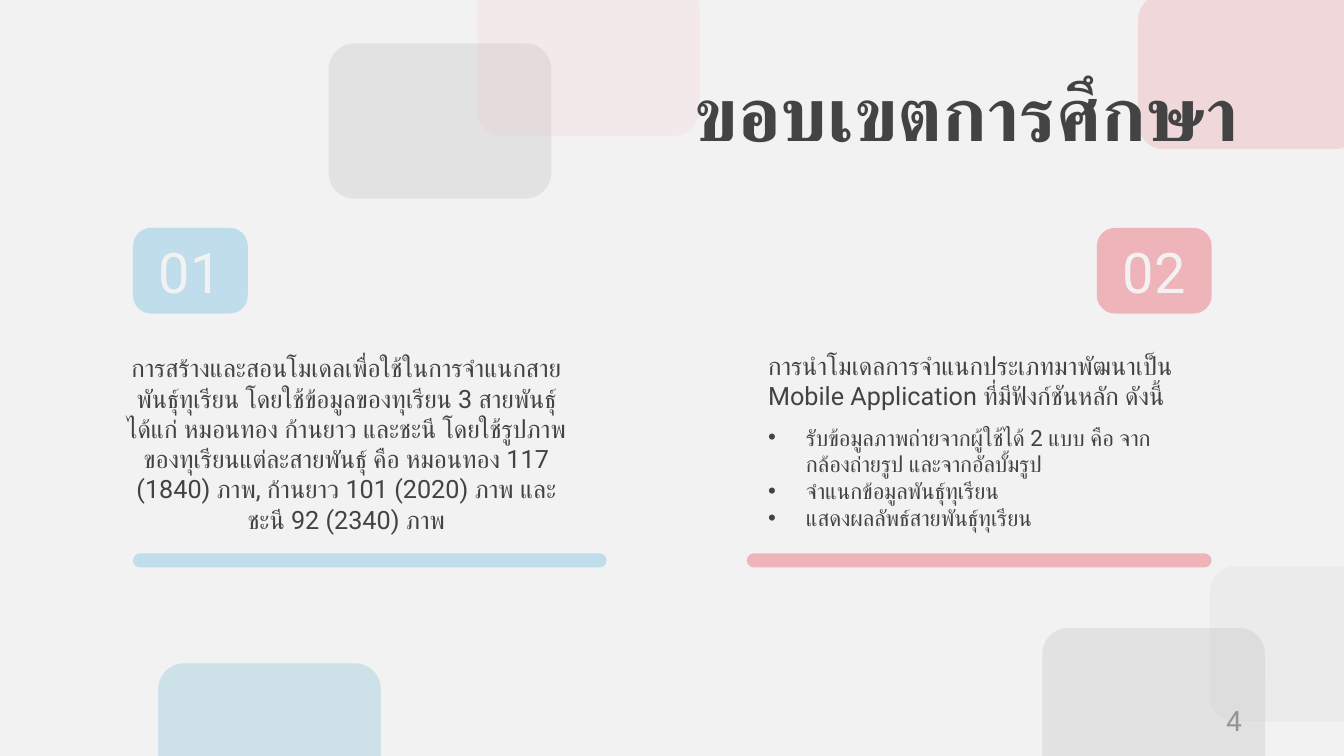
from pptx import Presentation
from pptx.dml.color import RGBColor
from pptx.enum.shapes import MSO_SHAPE
from pptx.enum.text import MSO_ANCHOR, MSO_AUTO_SIZE, PP_ALIGN
from pptx.oxml.ns import qn
from pptx.util import Pt
from lxml.etree import SubElement

# Content
TITLE = "ขอบเขตการศึกษา"
PAGE_NUMBER = "4"
MODEL_SCOPE = (
    "การสร้างและสอนโมเดลเพื่อใช้ในการจําแนกสายพันธุ์ทุเรียน "
    "โดยใช้ข้อมูลของทุเรียน 3 สายพันธุ์ ได้แก่ หมอนทอง ก้านยาว และชะนี "
    "โดยใช้รูปภาพของทุเรียนแต่ละสายพันธุ์ คือ หมอนทอง 117 (1840) ภาพ, "
    "ก้านยาว 101 (2020) ภาพ และ ชะนี 92 (2340) ภาพ"
)
APP_SCOPE = (
    "การนำโมเดลการจำแนกประเภทมาพัฒนาเป็น Mobile Application "
    "ที่มีฟังก์ชันหลัก ดังนี้"
)
APP_FEATURES = [
    "รับข้อมูลภาพถ่ายจากผู้ใช้ได้ 2 แบบ คือ จากกล้องถ่ายรูป และจากอัลบั้มรูป",
    "จำแนกข้อมูลพันธุ์ทุเรียน",
    "แสดงผลลัพธ์สายพันธุ์ทุเรียน",
]

THEME = {
    "font": "Roboto",
    "background": "F2F2F2", "text": "434343", "page": "949494",
    "blue": "AED7E8", "pink": "EE8C94",
    "title_size": 54, "number_size": 40, "body_size": 18,
    "feature_size": 16, "page_size": 20,
}

# Layout in points
SLIDE_WIDTH, SLIDE_HEIGHT = 960, 540
LEFT_EDGE, RIGHT_EDGE = 95, 865.5
BADGE_TOP, BADGE_WIDTH, BADGE_HEIGHT = 162.7, 82, 61.3
BAR_TOP, BAR_HEIGHT = 395.3, 10
TILE_WIDTH, TILE_HEIGHT, TILE_OPACITY = 159.1, 110.9, 25
INSET = 9.4
FEATURE_INDENT = 27

# Background tiles: left, top, colour
TILES = [
    (812.9, -4.3, THEME["pink"]),
    (113, 473.8, "5FB0D2"),
    (864, 404.6, "DADADA"),
    (744.5, 448.6, "B5B5B5"),
    (340.6, -13.7, "F8D1D4"),
    (234.7, 31, "B4B4B4"),
]
# Columns: number, colour, opacity, bar width, badge left
COLUMNS = [
    ("01", THEME["blue"], 74, 338.4, LEFT_EDGE),
    ("02", THEME["pink"], 60, 332, RIGHT_EDGE - BADGE_WIDTH),
]


def apply(target, values):
    for name, value in values.items():
        setattr(target, name, value)


def add_rounded(slide, box, color, opacity, rounding):
    shape = slide.shapes.add_shape(MSO_SHAPE.ROUNDED_RECTANGLE, *map(Pt, box))
    shape.adjustments[0] = rounding
    shape.shadow.inherit = False
    shape.line.fill.background()
    shape.fill.solid()
    shape.fill.fore_color.rgb = RGBColor.from_string(color)
    fill_color = shape.element.spPr.find(qn("a:solidFill"))[0]
    SubElement(fill_color, qn("a:alpha")).set("val", str(opacity * 1000))
    return shape


def format_frame(frame, inset, anchor=MSO_ANCHOR.TOP):
    apply(frame, {
        "word_wrap": True, "auto_size": MSO_AUTO_SIZE.NONE,
        "vertical_anchor": anchor,
        "margin_left": Pt(inset), "margin_right": Pt(inset),
        "margin_top": Pt(inset), "margin_bottom": Pt(inset),
    })


def write(paragraph, text, size, color=THEME["text"],
          alignment=PP_ALIGN.LEFT, bold=False):
    run = paragraph.add_run()
    run.text = text
    apply(run.font, {"name": THEME["font"], "size": Pt(size), "bold": bold})
    run.font.color.rgb = RGBColor.from_string(color)
    apply(paragraph, {"alignment": alignment, "line_spacing": 1.0,
                      "space_before": Pt(0), "space_after": Pt(0)})


def add_text_box(slide, box, inset=INSET, anchor=MSO_ANCHOR.TOP):
    frame = slide.shapes.add_textbox(*map(Pt, box)).text_frame
    format_frame(frame, inset, anchor)
    return frame


def add_bullet(paragraph):
    properties = paragraph._p.get_or_add_pPr()
    properties.set("marL", str(Pt(FEATURE_INDENT)))
    properties.set("indent", str(-Pt(FEATURE_INDENT)))
    SubElement(properties, qn("a:buFont")).set("typeface", "Arial")
    SubElement(properties, qn("a:buChar")).set("char", "•")


def main():
    presentation = Presentation()
    apply(presentation, {"slide_width": Pt(SLIDE_WIDTH),
                         "slide_height": Pt(SLIDE_HEIGHT)})
    slide = presentation.slides.add_slide(presentation.slide_layouts[5])
    slide.background.fill.solid()
    slide.background.fill.fore_color.rgb = RGBColor.from_string(
        THEME["background"])

    # Background tiles
    for left, top, color in TILES:
        add_rounded(slide, (left, top, TILE_WIDTH, TILE_HEIGHT),
                    color, TILE_OPACITY, 0.167)

    # Title, brought in front of the tiles
    title = slide.shapes.title
    apply(title, {"left": Pt(403.2), "top": Pt(37.4),
                  "width": Pt(491), "height": Pt(66.2)})
    format_frame(title.text_frame, INSET)
    write(title.text_frame.paragraphs[0], TITLE, THEME["title_size"],
          alignment=PP_ALIGN.RIGHT, bold=True)
    title.element.getparent().append(title.element)

    # Number badges and bars
    for number, color, opacity, bar_width, badge_left in COLUMNS:
        bar_left = LEFT_EDGE if badge_left == LEFT_EDGE else RIGHT_EDGE - bar_width
        add_rounded(slide, (bar_left, BAR_TOP, bar_width, BAR_HEIGHT),
                    color, opacity, 0.5)
        badge = add_rounded(
            slide, (badge_left, BADGE_TOP, BADGE_WIDTH, BADGE_HEIGHT),
            color, opacity, 0.212)
        format_frame(badge.text_frame, 0, MSO_ANCHOR.MIDDLE)
        write(badge.text_frame.paragraphs[0], number, THEME["number_size"],
              THEME["background"], PP_ALIGN.CENTER)

    # Model scope
    model = add_text_box(slide, (74.2, 242.6, 346.3, 139))
    write(model.paragraphs[0], MODEL_SCOPE, THEME["body_size"],
          alignment=PP_ALIGN.CENTER)

    # Application scope and its features
    application = add_text_box(slide, (539.3, 240.5, 319.7, 92.2))
    introduction = application.paragraphs[0]
    write(introduction, APP_SCOPE, THEME["body_size"])
    introduction.space_after = Pt(9.5)
    for feature in APP_FEATURES:
        paragraph = application.add_paragraph()
        write(paragraph, feature, THEME["feature_size"])
        add_bullet(paragraph)

    # Page number
    page = add_text_box(slide, (678.2, 500.4, 216, 28.8), 7.2,
                        MSO_ANCHOR.MIDDLE)
    write(page.paragraphs[0], PAGE_NUMBER, THEME["page_size"],
          THEME["page"], PP_ALIGN.RIGHT)

    presentation.save("out.pptx")


if __name__ == "__main__":
    main()
